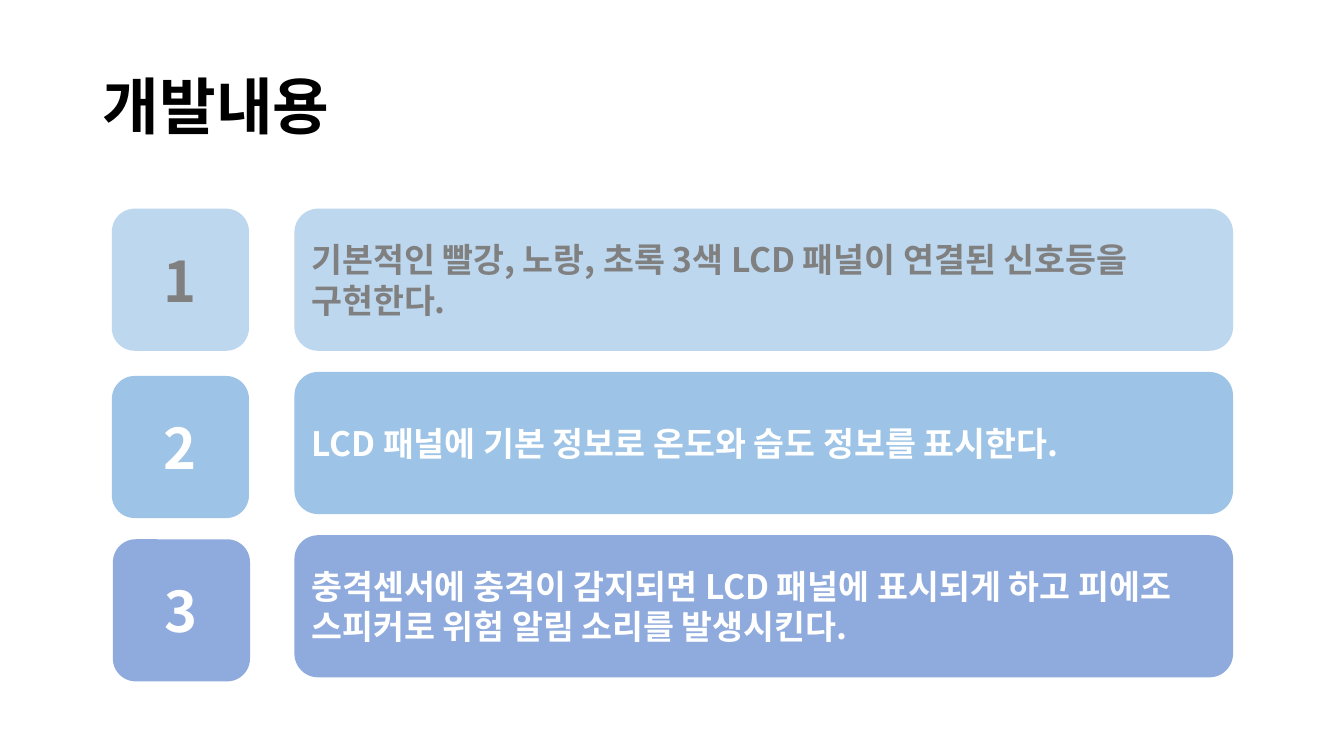
from dataclasses import dataclass

from lxml.etree import SubElement
from pptx import Presentation
from pptx.dml.color import RGBColor as RGB
from pptx.enum.shapes import MSO_SHAPE as Shape
from pptx.enum.text import MSO_ANCHOR as Anchor, PP_ALIGN as Align
from pptx.oxml.ns import qn
from pptx.slide import Slide
from pptx.util import Inches, Pt


@dataclass(frozen=True)
class Theme:
    font: str = "Noto Sans CJK KR"
    black: str = "000000"
    gray: str = "808080"
    white: str = "FFFFFF"
    pale: str = "BDD7EE"
    sky: str = "9DC3E6"
    indigo: str = "8FAADC"
    title_size: int = 44
    number_size: int = 40
    body_size: int = 24


@dataclass(frozen=True)
class Item:
    text: str
    fill: str
    color: str
    badge_left: float
    badge_top: float


THEME = Theme()
ITEMS = [
    Item("기본적인 빨강, 노랑, 초록 3색 LCD 패널이 연결된 신호등을 구현한다.",
         THEME.pale, THEME.gray, 1.11, 2.07),
    Item("LCD 패널에 기본 정보로 온도와 습도 정보를 표시한다.",
         THEME.sky, THEME.white, 1.11, 3.73),
    Item("충격센서에 충격이 감지되면 LCD 패널에 표시되게 하고 피에조 스피커로 위험 알림 소리를 발생시킨다.",
         THEME.indigo, THEME.white, 1.12, 5.35),
]
PANEL_LEFT, PANEL_TOP, PANEL_WIDTH = 2.92, 2.07, 9.31
BADGE_WIDTH, BOX_HEIGHT, ROW_STEP = 1.36, 1.41, 1.62


def add_text(tf, text: str, size: int, color: str, align: Align):
    tf.word_wrap = True
    tf.vertical_anchor = Anchor.MIDDLE
    p = tf.paragraphs[0]
    p.alignment = align
    r = p.add_run()
    r.text = text
    r.font.name = THEME.font
    r.font.size = Pt(size)
    r.font.bold = True
    r.font.color.rgb = RGB.from_string(color)
    SubElement(r.font._element, qn("a:ea"), typeface=THEME.font)
    return p


def add_box(group, left: float, top: float, width: float, item: Item,
            text: str, size: int, align: Align) -> None:
    sp = group.shapes.add_shape(Shape.ROUNDED_RECTANGLE, Inches(left), Inches(top),
                                Inches(width), Inches(BOX_HEIGHT))
    sp.shadow.inherit = False
    sp.fill.solid()
    sp.fill.fore_color.rgb = RGB.from_string(item.fill)
    sp.line.fill.background()
    add_text(sp.text_frame, text, size, item.color, align)


def add_item(s: Slide, index: int, item: Item) -> None:
    group = s.shapes.add_group_shape()
    add_box(group, item.badge_left, item.badge_top, BADGE_WIDTH, item,
            str(index + 1), THEME.number_size, Align.CENTER)
    add_box(group, PANEL_LEFT, PANEL_TOP + index * ROW_STEP, PANEL_WIDTH, item,
            item.text, THEME.body_size, Align.LEFT)


def add_title(s: Slide, text: str) -> None:
    title = s.shapes.title
    title.left, title.top = Inches(0.92), Inches(0.36)
    title.width, title.height = Inches(11.5), Inches(1.45)
    p = add_text(title.text_frame, text, THEME.title_size, THEME.black, Align.LEFT)
    p.line_spacing = 0.9


def main() -> None:
    prs = Presentation()
    prs.slide_width, prs.slide_height = Inches(13.33), Inches(7.5)
    s = prs.slides.add_slide(prs.slide_layouts[5])
    add_title(s, "개발내용")
    for index, item in enumerate(ITEMS):
        add_item(s, index, item)
    prs.save("out.pptx")


if __name__ == "__main__":
    main()
